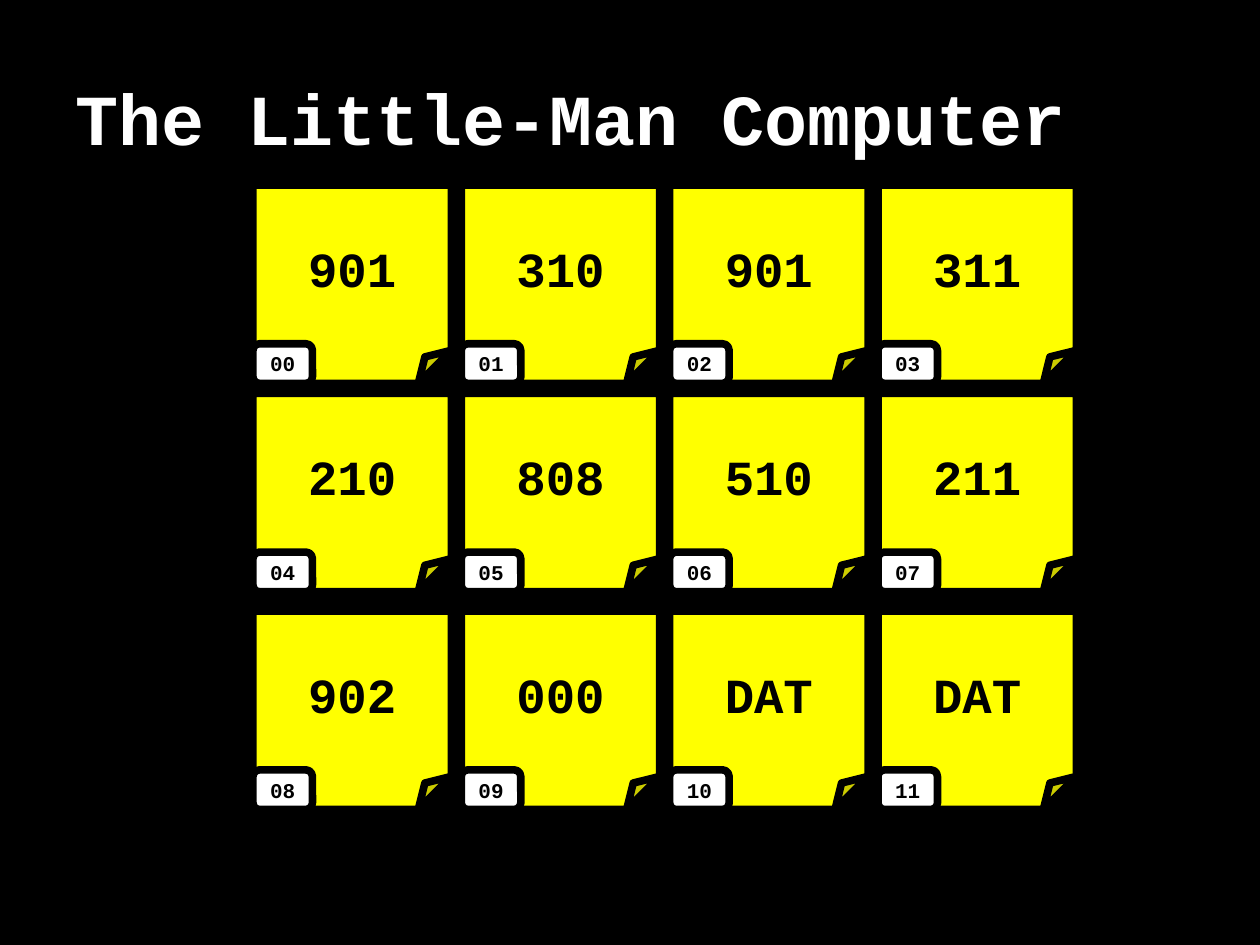
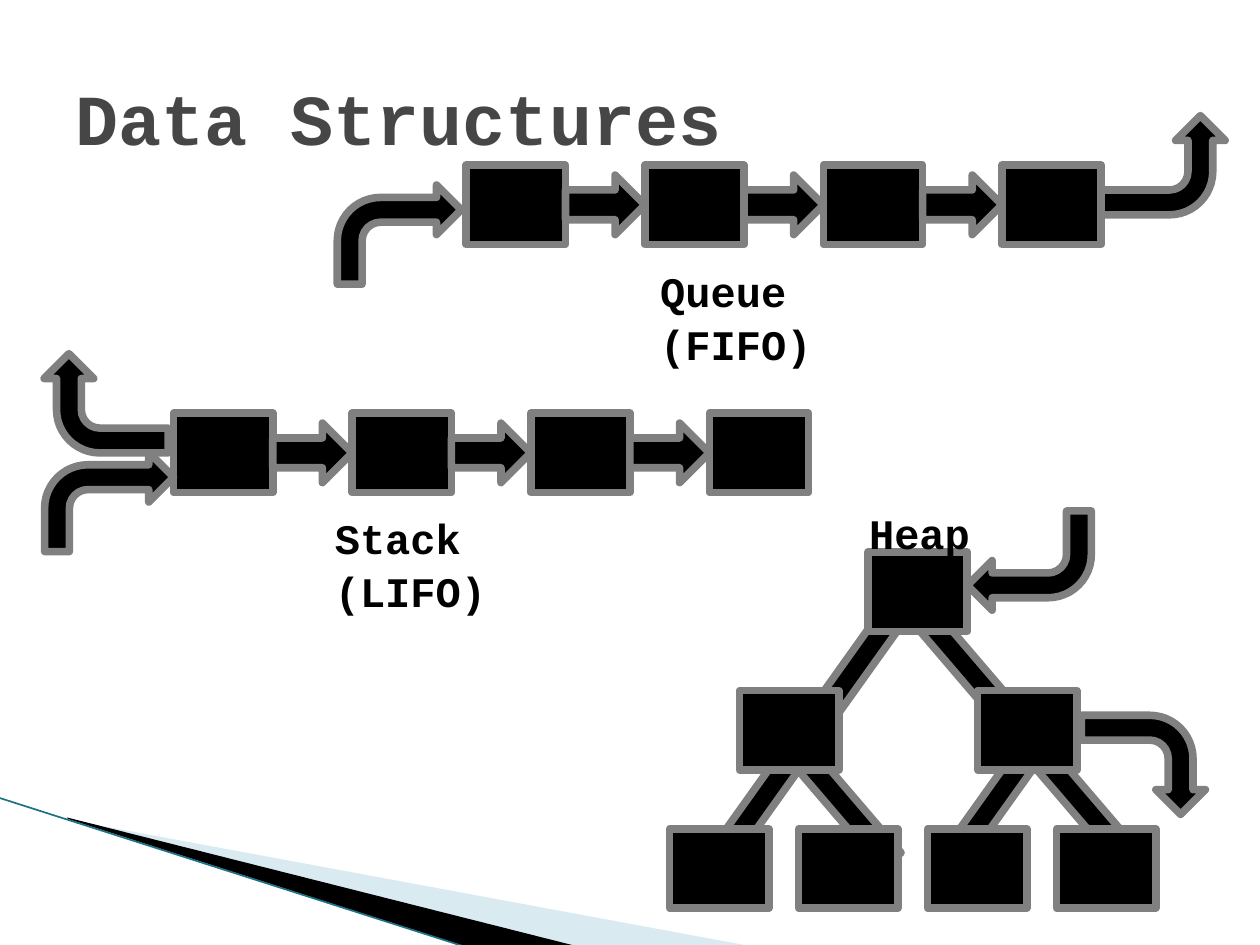
from lxml.etree import SubElement as Sub
from pptx import Presentation
from pptx.dml.color import RGBColor
from pptx.enum.shapes import MSO_CONNECTOR as Link, MSO_SHAPE as Kind
from pptx.enum.text import MSO_ANCHOR as Anchor, MSO_AUTO_SIZE as Fit, PP_ALIGN as Align
from pptx.oxml.ns import qn
from pptx.util import Cm, Pt

BLACK = RGBColor(0x00, 0x00, 0x00)
WHITE = RGBColor(0xFF, 0xFF, 0xFF)
YELLOW = RGBColor(0xFF, 0xFF, 0x00)
GREY = RGBColor(0x80, 0x80, 0x80)
SLATE = RGBColor(0x46, 0x46, 0x46)
PALE = RGBColor(0xA0, 0xCB, 0xDC)
TEAL = RGBColor(0x1B, 0x72, 0x87)
FONT = "Courier New"
EDGE = Pt(4.33)
WIDE, HIGH = 25.4, 19.05
NODE_W, NODE_H = 2, 1.6
ROWS = [
    (3.73, ["901", "310", "901", "311"]),
    (7.93, ["210", "808", "510", "211"]),
    (12.32, ["902", "000", "DAT", "DAT"]),
]


def write(shape, text, size, color, align=Align.LEFT):
    """Set one bold line of text in a shape."""
    frame = shape.text_frame
    frame.text = text
    frame.word_wrap = True
    para = frame.paragraphs[0]
    para.alignment = align
    font = para.runs[0].font
    font.name, font.size, font.bold = FONT, Pt(size), True
    font.color.rgb = color


def draw(slide, kind, left, top, width, height, fill=BLACK, line=GREY, turn=0):
    """Add a filled and outlined preset shape."""
    shape = slide.shapes.add_shape(kind, Cm(left), Cm(top), Cm(width), Cm(height))
    shape.shadow.inherit = False
    shape.fill.solid()
    shape.fill.fore_color.rgb = fill
    shape.line.color.rgb = line
    shape.line.width = EDGE
    shape.rotation = turn
    return shape


def node(slide, left, top):
    """Add one box of a data structure."""
    draw(slide, Kind.RECTANGLE, left, top, NODE_W, NODE_H)


def bend(slide, left, top, width, height, turn=0):
    """Add a bent arrow."""
    return draw(slide, Kind.BENT_ARROW, left, top, width, height, turn=turn)


def label(slide, text, left, top, width):
    """Add the name of a data structure."""
    box = slide.shapes.add_textbox(Cm(left), Cm(top), Cm(width), Cm(1.27))
    box.text_frame.margin_top = Cm(0.25)
    write(box, text, 24, BLACK)
    box.text_frame.paragraphs[0].line_spacing = 1.05


def wedge(slide, points, fill):
    """Add a sliver without outline."""
    first, *rest = [(Cm(x), Cm(y)) for x, y in points]
    path = slide.shapes.build_freeform(*first)
    path.add_line_segments(rest, close=True)
    shape = path.convert_to_shape()
    shape.shadow.inherit = False
    shape.fill.solid()
    shape.fill.fore_color.rgb = fill
    shape.line.fill.background()
    return shape


def band(slide, layout):
    """Draw the corner band and hand it to the layout."""
    pale = wedge(slide, [(1.4, 16.53), (15.11, 19.07), (11.58, 19.07), (1.4, 16.51)], PALE)
    tint = pale.element.spPr.find(qn("a:solidFill"))[0]
    Sub(tint, qn("a:alpha")).set("val", "40000")
    dark = wedge(slide, [(1.35, 16.48), (11.61, 19.07), (9.45, 19.1), (1.37, 16.51)], BLACK)
    rule = slide.shapes.add_connector(Link.STRAIGHT, Cm(-0.03), Cm(16.08), Cm(9.42), Cm(19.1))
    rule.line.color.rgb = TEAL
    rule.line.width = Pt(0.95)
    Sub(rule.element.spPr, qn("a:effectLst"))
    for part in (pale, dark, rule):
        layout.shapes.element.append(part.element)


def head(slide, text, color):
    """Place and format the slide title."""
    title = slide.shapes.title
    title.left, title.top = Cm(1.27), Cm(0.76)
    title.width, title.height = Cm(22.86), Cm(3.18)
    write(title, text, 41, color)
    title.text_frame.auto_size = Fit.NONE
    title.text_frame.vertical_anchor = Anchor.MIDDLE


def card(slide, left, top, value, index):
    """Add a memory cell with its address tag."""
    side, tag_w, tag_h = 4, 1.2, 0.8
    note = draw(slide, Kind.FOLDED_CORNER, left, top, side, side, YELLOW, BLACK)
    write(note, value, 28, BLACK, Align.CENTER)
    low = top + side - tag_h
    tag = draw(slide, Kind.ROUNDED_RECTANGLE, left, low, tag_w, tag_h, WHITE, BLACK)
    write(tag, f"{index:02}", 12, BLACK, Align.CENTER)


def memory(slide):
    """Fill the slide with the grid of memory cells."""
    back = draw(slide, Kind.RECTANGLE, 0, 0, WIDE, HIGH, BLACK, BLACK)
    slide.shapes.element.insert(2, back.element)
    head(slide, "The Little-Man Computer", WHITE)
    for row, (top, values) in enumerate(ROWS):
        for col, value in enumerate(values):
            card(slide, 5.1 + 4.2 * col, top, value, 4 * row + col)


def chain(slide, left, top):
    """Add four boxes joined by arrows."""
    gap = 1.6
    for step in range(4):
        x = left + step * (NODE_W + gap)
        node(slide, x, top)
        if step:
            draw(slide, Kind.RIGHT_ARROW, x - gap, top + 0.2, gap, 1.2)


def queue(slide, left, top):
    """Add the queue: in at the left, out at the right."""
    chain(slide, left, top)
    bend(slide, left - 2.6, top + 0.4, 2.5, 2)
    out = bend(slide, left + 13.05, top - 1.25, 2, 2.5, 90)
    out.element.spPr.find(qn("a:xfrm")).set("flipH", "1")
    label(slide, "Queue (FIFO)", left + 3.66, top + 1.72, 5.84)


def stack(slide, left, top):
    """Add the stack: in and out at the left."""
    chain(slide, left, top)
    bend(slide, left - 2.6, top + 0.79, 2.6, 2)
    bend(slide, left - 2.36, top - 1.45, 2, 2.5, 270)
    label(slide, "Stack (LIFO)", left + 3, top + 1.7, 5.36)


def heap(slide, left, top):
    """Add the heap: a tree of seven boxes."""
    down, up = 319.5, 35.5
    limbs = [(8.09, 4.18, down), (6.08, 1.79, down), (3.34, 1.64, up),
             (1.74, 3.9, up), (3.09, 3.97, down), (6.34, 4.05, up)]
    for x, y, turn in limbs:
        draw(slide, Kind.RECTANGLE, left + x, top + y, 0.5, 3.5, turn=turn)
    leaves = [(2.6 * leaf, 6.41) for leaf in range(4)]
    for x, y in [(4, 0.83), (1.41, 3.62), (6.21, 3.62)] + leaves:
        node(slide, left + x, top + y)
    bend(slide, left + 6, top, 2.5, 2, 180)
    bend(slide, left + 8.55, top + 3.87, 2, 2.5, 90)
    label(slide, "Heap", left + 3.77, top - 0.37, 2.62)


def graphs(slide):
    """Fill the slide with the three data structures."""
    head(slide, "Data Structures", SLATE)
    queue(slide, 9.4, 3.33)
    stack(slide, 3.5, 8.33)
    heap(slide, 13.5, 10.3)


def main():
    """Build and save both slides."""
    deck = Presentation()
    deck.slide_width, deck.slide_height = Cm(WIDE), Cm(HIGH)
    layout = deck.slide_layouts[5]
    first = deck.slides.add_slide(layout)
    band(first, layout)
    memory(first)
    graphs(deck.slides.add_slide(layout))
    deck.save("out.pptx")


if __name__ == "__main__":
    main()
